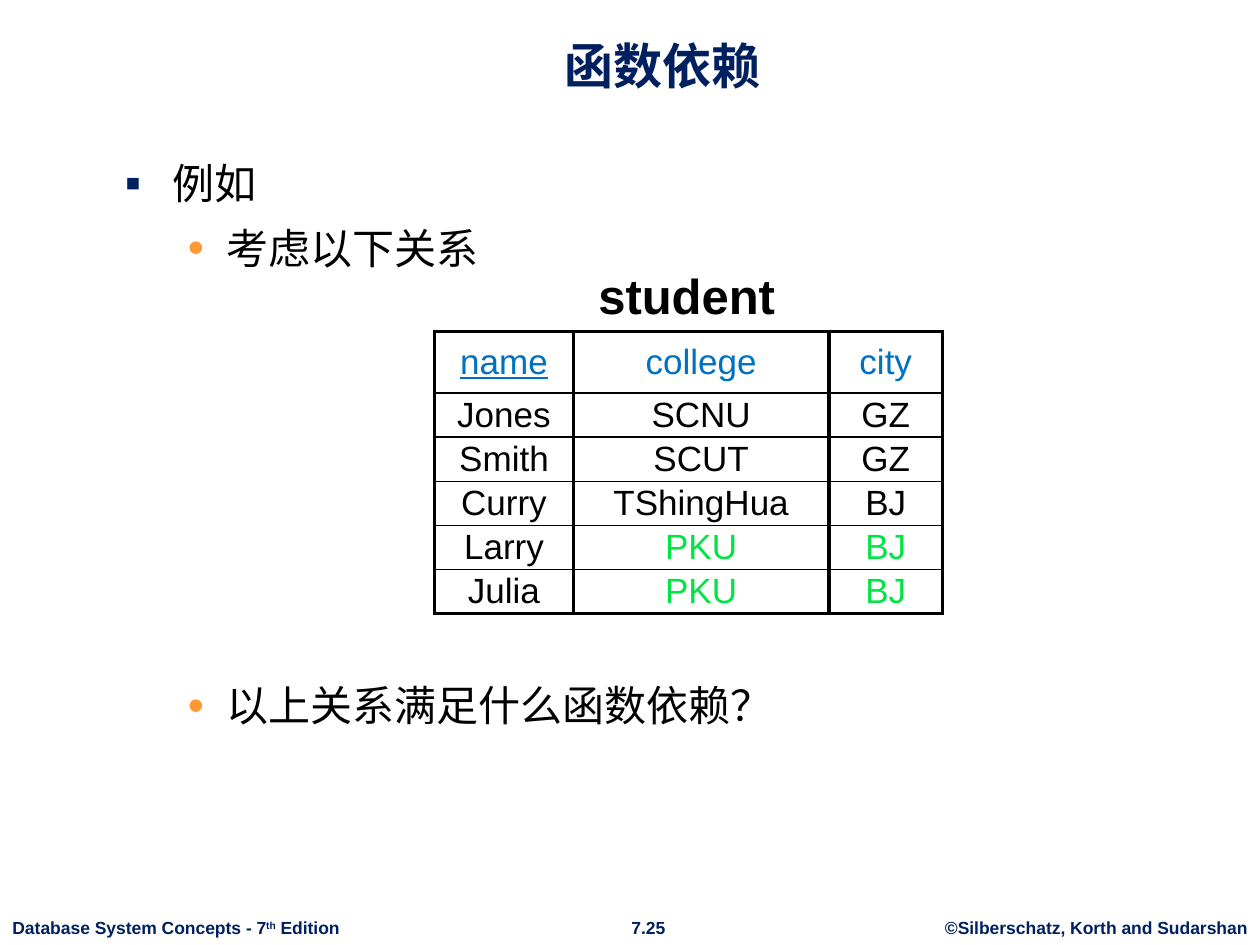
from lxml import etree
from pptx import Presentation
from pptx.dml.color import RGBColor
from pptx.enum import text
from pptx.oxml import ns
from pptx.util import Inches, Pt

NAVY, BLACK, BLUE, GREEN = "002060", "000000", "0070C0", "00E444"
ORANGE, WHITE = "FF9933", "FFFFFF"
CENTER = text.PP_ALIGN.CENTER


def add_run(para, words, size, color, bold=False):
    run = para.add_run()
    run.text = words
    font = run.font
    font.name, font.size, font.bold = "Arial", Pt(size), bold
    font.color.rgb = RGBColor.from_string(color)
    return run


def add_xml(parent, tag, **attrs):
    return etree.SubElement(parent, ns.qn(tag), attrs)


deck = Presentation()
deck.slide_width, deck.slide_height = Inches(10), Inches(7.5)
slide = deck.slides.add_slide(deck.slide_layouts[1])
title, body = slide.placeholders

# Title
title.left, title.top = Inches(0.84), Inches(0.13)
title.width, title.height = Inches(8.83), Inches(0.67)
frame = title.text_frame
frame.auto_size = text.MSO_AUTO_SIZE.NONE
frame.vertical_anchor = text.MSO_ANCHOR.BOTTOM
frame.paragraphs[0].alignment = CENTER
add_run(frame.paragraphs[0], "函数依赖", 28, NAVY, True)

# Bulleted list; the last item leaves room for the table
body.left, body.top = Inches(0.89), Inches(1.2)
body.width, body.height = Inches(8.38), Inches(5.36)
frame = body.text_frame
frame.auto_size = text.MSO_AUTO_SIZE.NONE
items = [
    ("例如", 0, 0),
    ("考虑以下关系", 1, 8.4),
    ("以上关系满足什么函数依赖？", 1, 232.5),
]
marks = [("▪", NAVY, 0.38, 0.38), ("•", ORANGE, 0.81, 0.31)]
for i, (words, level, space) in enumerate(items):
    para = frame.add_paragraph() if i else frame.paragraphs[0]
    para.level = level
    para.space_before = Pt(space)
    mark, color, margin, hang = marks[level]
    props = para._p.get_or_add_pPr()
    props.set("marL", str(Inches(margin)))
    props.set("indent", str(-Inches(hang)))
    add_xml(add_xml(props, "a:buClr"), "a:srgbClr", val=color)
    add_xml(props, "a:buSzPct", val="110000")
    add_xml(props, "a:buFont", typeface="Arial")
    add_xml(props, "a:buChar", char=mark)
    add_run(para, words, 24, BLACK)

# Student table
rows = [
    ("name", "college", "city"),
    ("Jones", "SCNU", "GZ"),
    ("Smith", "SCUT", "GZ"),
    ("Curry", "TShingHua", "BJ"),
    ("Larry", "PKU", "BJ"),
    ("Julia", "PKU", "BJ"),
]
last = len(rows) - 1
table = slide.shapes.add_table(
    len(rows), 3, Inches(3.45), Inches(2.63), Inches(4.03), Inches(2.24)
).table
table.first_row = table.horz_banding = False
for col, width in zip(table.columns, (1.1, 2.03, 0.9)):
    col.width = Inches(width)
for r, row in enumerate(rows):
    table.rows[r].height = Inches(0.35 if r else 0.49)
    for c, words in enumerate(row):
        cell = table.cell(r, c)
        cell.vertical_anchor = text.MSO_ANCHOR.MIDDLE
        cell.margin_left = cell.margin_right = Inches(0.04)
        cell.margin_top = cell.margin_bottom = Inches(0.02)
        props = cell._tc.get_or_add_tcPr()
        edges = {
            "L": 2.25,
            "R": 2.25,
            "T": 1 if r else 2.25,
            "B": 2.25 if r == last else 1,
        }
        for side, weight in edges.items():
            line = add_xml(props, "a:ln" + side, w=str(Pt(weight)))
            add_xml(add_xml(line, "a:solidFill"), "a:srgbClr", val=BLACK)
        cell.fill.solid()
        cell.fill.fore_color.rgb = RGBColor.from_string(WHITE)
        color = BLUE if r == 0 else GREEN if c and r >= 4 else BLACK
        para = cell.text_frame.paragraphs[0]
        para.alignment = CENTER
        run = add_run(para, words, 20, color)
        run.font.underline = words == "name"

# Table caption and footer
left = text.PP_ALIGN.LEFT
labels = [
    (4.65, 2.06, 1.62, 0.57, left, 28, BLACK, ["student"]),
    (0, 7.23, 2.81, 0.27, left, 10, NAVY,
     ["Database System Concepts - 7", "th", " Edition"]),
    (4.9, 7.23, 0.49, 0.27, CENTER, 10, NAVY, ["7.25"]),
    (7.4, 7.23, 2.6, 0.27, CENTER, 10, NAVY,
     ["©Silberschatz, Korth and Sudarshan"]),
]
for x, y, w, h, align, size, color, parts in labels:
    box = slide.shapes.add_textbox(Inches(x), Inches(y), Inches(w), Inches(h))
    box.text_frame.word_wrap = False
    para = box.text_frame.paragraphs[0]
    para.alignment = align
    for words in parts:
        run = add_run(para, words, size, color, True)
        if words == "th":
            run.font._element.set("baseline", "30000")

deck.save("out.pptx")
